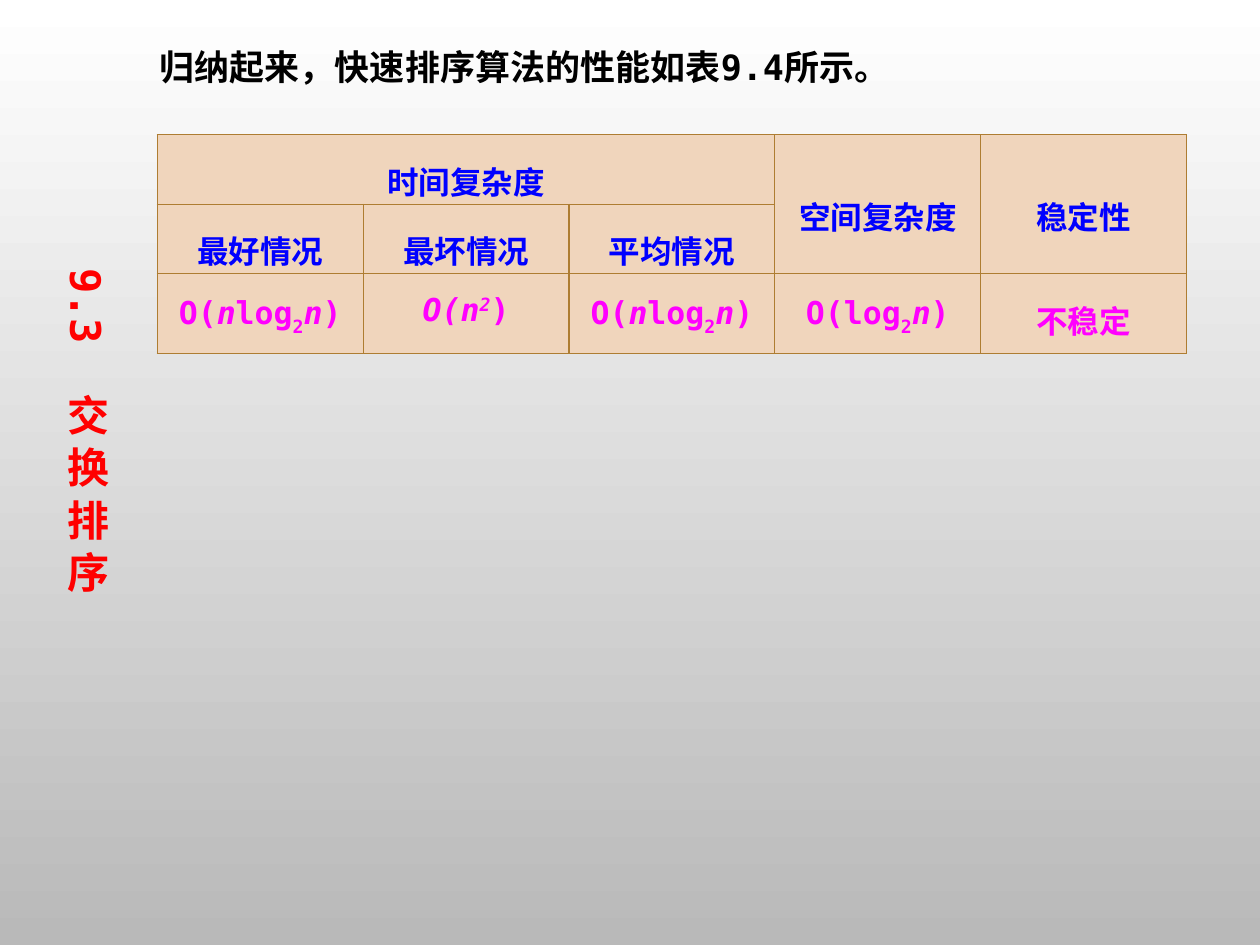
from lxml.etree import SubElement
from pptx import Presentation
from pptx.dml.color import RGBColor
from pptx.enum.text import MSO_ANCHOR, MSO_AUTO_SIZE, PP_ALIGN
from pptx.oxml.ns import qn
from pptx.util import Cm, Pt

FONT = "DejaVu Sans Mono"
BLACK = RGBColor(0x00, 0x00, 0x00)
RED = RGBColor(0xFF, 0x00, 0x00)
BLUE = RGBColor(0x00, 0x00, 0xFF)
MAGENTA = RGBColor(0xFF, 0x00, 0xFF)
SAND = RGBColor(0xF0, 0xD5, 0xBC)
BROWN = RGBColor(0xAE, 0x7D, 0x32)
WHITE = RGBColor(0xFF, 0xFF, 0xFF)
GREY = RGBColor(0xB9, 0xB9, 0xB9)

# Content: a formula is a list of (text, style) with i = italic, _ = sub, ^ = super
INTRO = "归纳起来，快速排序算法的性能如表9.4所示。"
SECTION = "9.3  交 换 排 序"
LOG_N = [("log", ""), ("2", "_"), ("n", "i"), (")", "")]
N_LOG_N = [("O(", ""), ("n", "i")] + LOG_N
N_SQUARED = [("O(n", "i"), ("2", "i^"), (")", "")]
ROWS = [
    ["时间复杂度", None, None, "空间复杂度", "稳定性"],
    ["最好情况", "最坏情况", "平均情况", None, None],
    [N_LOG_N, N_SQUARED, N_LOG_N, [("O(" + LOG_N[0][0], "")] + LOG_N[1:], "不稳定"],
]
MERGES = [((0, 0), (0, 2)), ((0, 3), (1, 3)), ((0, 4), (1, 4))]
ROW_HEIGHTS = [1.4, 1.4, 1.6]
COL_WIDTH = 4.15
BASELINES = {"_": "-30000", "^": "30000"}


def write(tf, text, size=18, color=BLACK, align=None, spacing=None):
    p = tf.paragraphs[0]
    p.alignment = align
    p.line_spacing = spacing
    for part, style in [(text, "")] if isinstance(text, str) else text:
        r = p.add_run()
        r.text = part
        r.font.name, r.font.size, r.font.bold = FONT, Pt(size), True
        r.font.italic = "i" in style
        r.font.color.rgb = color
        for mark, shift in BASELINES.items():
            if mark in style:
                r.font._element.set("baseline", shift)


def add_text(s, text, left, top, width, height, vertical=False, **fmt):
    tf = s.shapes.add_textbox(Cm(left), Cm(top), Cm(width), Cm(height)).text_frame
    tf.word_wrap = True
    tf.auto_size = MSO_AUTO_SIZE.SHAPE_TO_FIT_TEXT
    if vertical:
        tf._txBody.bodyPr.set("vert", "eaVert")
    write(tf, text, **fmt)


def style_cell(cell):
    cell.margin_left = cell.margin_right = cell.margin_top = cell.margin_bottom = 0
    tc_pr = cell._tc.get_or_add_tcPr()
    for side in ("lnL", "lnR", "lnT", "lnB"):
        ln = SubElement(tc_pr, qn("a:" + side), w=str(Pt(0.75)))
        SubElement(SubElement(ln, qn("a:solidFill")), qn("a:srgbClr"), val=str(BROWN))
    cell.fill.solid()
    cell.fill.fore_color.rgb = SAND


def add_table(s, left, top):
    n_cols = len(ROWS[0])
    table = s.shapes.add_table(len(ROWS), n_cols, Cm(left), Cm(top),
                               Cm(COL_WIDTH * n_cols), Cm(sum(ROW_HEIGHTS))).table
    for col in table.columns:
        col.width = Cm(COL_WIDTH)
    for row, height in zip(table.rows, ROW_HEIGHTS):
        row.height = Cm(height)
    for first, last in MERGES:
        table.cell(*first).merge(table.cell(*last))
    for i, row in enumerate(ROWS):
        for j, text in enumerate(row):
            cell = table.cell(i, j)
            style_cell(cell)
            if text is None:
                continue
            tall = cell.is_merge_origin and cell.span_height > 1
            cell.vertical_anchor = MSO_ANCHOR.MIDDLE if tall else MSO_ANCHOR.TOP
            write(cell.text_frame, text, color=MAGENTA if i == 2 else BLUE,
                  align=PP_ALIGN.CENTER, spacing=1.5)


def main():
    prs = Presentation()
    prs.slide_width, prs.slide_height = Cm(25.4), Cm(19.05)
    s = prs.slides.add_slide(prs.slide_layouts[6])

    # Background: white at the top to grey at the bottom
    fill = s.background.fill
    fill.gradient()
    fill.gradient_angle = 270
    for stop, color, pos in zip(fill.gradient_stops, (WHITE, GREY), (0, 1)):
        stop.color.rgb, stop.position = color, pos

    # Introduction, table and vertical section title
    add_text(s, INTRO, 2.97, 0.8, 18.34, 1.11, size=20)
    add_table(s, 3.17, 2.72)
    add_text(s, SECTION, 0.84, 5.16, 1.55, 8.13, vertical=True,
             size=24, color=RED, align=PP_ALIGN.CENTER)
    prs.save("out.pptx")


if __name__ == "__main__":
    main()
